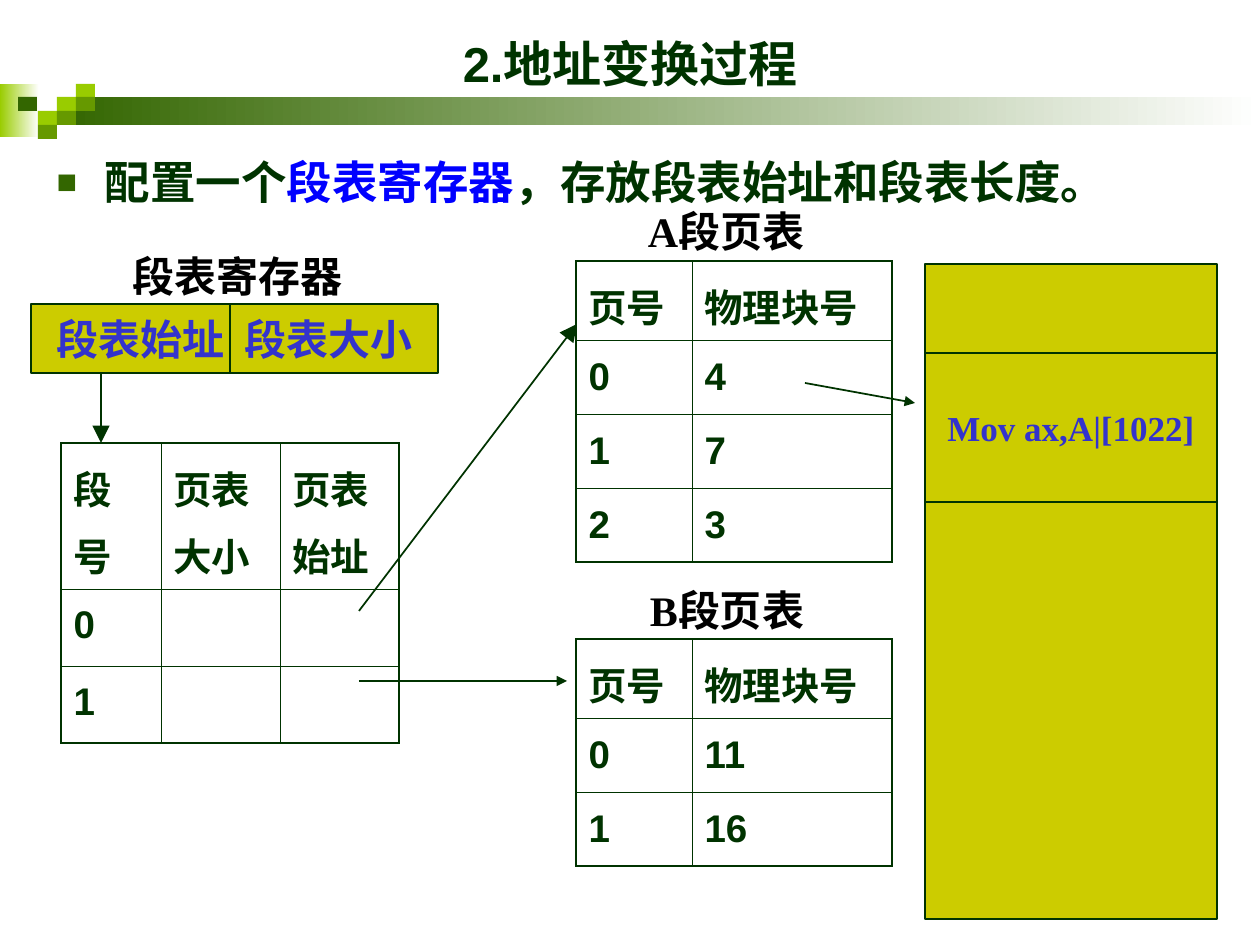
from pptx import Presentation
from pptx.dml.color import RGBColor
from pptx.enum.shapes import MSO_CONNECTOR as Conn, MSO_SHAPE as Kind
from pptx.enum.text import MSO_ANCHOR as Anchor, MSO_AUTO_SIZE as Fit, PP_ALIGN as Align
from pptx.oxml import parse_xml
from pptx.oxml.ns import nsdecls
from pptx.util import Emu, Pt

DARK = RGBColor(0x00, 0x33, 0x00)
PINE = RGBColor(0x33, 0x66, 0x00)
LEAF = RGBColor(0x66, 0x99, 0x00)
LIME = RGBColor(0x99, 0xCC, 0x00)
GOLD = RGBColor(0xCC, 0xCC, 0x00)
BLUE = RGBColor(0x00, 0x00, 0xFF)
INDIGO = RGBColor(0x33, 0x33, 0xCC)
BLACK = RGBColor(0, 0, 0)
WHITE = RGBColor(0xFF, 0xFF, 0xFF)
SANS, SERIF = "Arial", "Times New Roman"

# Content; all lengths in px, 126 to the inch
TITLE = "2.地址变换过程"
POINT = [("配置一个", DARK), ("段表寄存器", BLUE), ("，存放段表始址和段表长度。", DARK)]
FADES = [((0, 84, 39, 53), LIME), ((57, 97, 1203, 28), PINE)]
TILES = [(57, 97, LIME), (76, 84, LIME), (76, 97, LEAF), (38, 111, LIME),
         (18, 97, PINE), (57, 111, LEAF), (38, 125, LEAF)]
PAGES = ["页号", "物理块号"]
TABLES = [  # left, top, column widths, row heights, cells
    (576, 261, [116, 200], [74] * 4, [PAGES, ["0", "4"], ["1", "7"], ["2", "3"]]),
    (576, 639, [116, 200], [74] * 3, [PAGES, ["0", "11"], ["1", "16"]]),
    (61, 443, [100, 119, 119], [123, 77, 77],
     [["段号", "页表大小", "页表始址"], ["0", "", ""], ["1", "", ""]]),
]
BOXES = [  # place, text runs, size
    ((31, 304, 407, 69), ["段表始址", " ", "段表大小"], 24),
    ((925, 264, 292, 655), [], 20),
    ((925, 353, 292, 149), ["Mov ax,A|[1022]"], 20),
]
LABELS = [((108, 244, 260, 63), "段表寄存器"),
          ((616, 199, 220, 63), "A段页表"),
          ((617, 578, 220, 63), "B段页表")]
LINES = [  # start and end, arrowhead size
    ((359, 611, 577, 324), "lg"),
    ((359, 681, 567, 681), "med"),
    ((230, 304, 230, 373), None),
    ((101, 373, 101, 443), "lg"),
    ((805, 383, 915, 403), "med"),
]


def px(n):
    return Emu(round(n * 914400 / 126))


def place(shape, box):
    shape.left, shape.top, shape.width, shape.height = map(px, box)


def style(run, size, name, color):
    font = run.font
    font.size, font.name, font.bold = Pt(size), name, True
    font.color.rgb = color


def write(shape, parts, size, color):
    frame = shape.text_frame
    frame.word_wrap = False
    para = frame.paragraphs[0]
    para.alignment = Align.CENTER
    for text in parts:
        run = para.add_run()
        run.text = text
        style(run, size, SERIF, color)
        if text == " ":  # widen the gap at the divider
            run._r.get_or_add_rPr().set("spc", "600")
    return frame


def block(shapes, box):
    shape = shapes.add_shape(Kind.RECTANGLE, *map(px, box))
    shape.shadow.inherit = False
    return shape


def solid(shape, color):
    shape.fill.solid()
    shape.fill.fore_color.rgb = color


def edge(cell, side, width):
    cell._tc.get_or_add_tcPr().append(parse_xml(
        f'<a:ln{side} {nsdecls("a")} w="{Pt(width)}"><a:solidFill>'
        f'<a:srgbClr val="{DARK}"/></a:solidFill></a:ln{side}>'))


def grid(shapes, left, top, cols, rows, cells):
    box = (left, top, sum(cols), sum(rows))
    table = shapes.add_table(len(rows), len(cols), *map(px, box)).table
    table.first_row = table.horz_banding = False
    for col, width in zip(table.columns, cols):
        col.width = px(width)
    for r, height in enumerate(rows):
        table.rows[r].height = px(height)
        for c, text in enumerate(cells[r]):
            cell = table.cell(r, c)
            outer = {"L": c == 0, "R": c == len(cols) - 1,
                     "T": r == 0, "B": r == len(rows) - 1}
            for side, thick in outer.items():
                edge(cell, side, 1.08 if thick else 0.45)
            cell.fill.background()
            cell.text = text
            para = cell.text_frame.paragraphs[0]
            para.line_spacing = 1.2
            for run in para.runs:
                style(run, 22, SANS, DARK)


def link(shapes, ends, head):
    line = shapes.add_connector(Conn.STRAIGHT, *map(px, ends))
    line.line.color.rgb = DARK
    line.line.width = Pt(1)
    if head:
        line.line._get_or_add_ln().append(parse_xml(
            f'<a:tailEnd {nsdecls("a")} type="triangle" w="{head}" len="{head}"/>'))
    line._element.spPr.append(parse_xml(f'<a:effectLst {nsdecls("a")}/>'))


def main():
    deck = Presentation()
    deck.slide_width, deck.slide_height = px(1260), px(945)
    slide = deck.slides.add_slide(deck.slide_layouts[1])
    shapes = slide.shapes

    # Title
    title = shapes.title
    place(title, (63, 21, 1134, 84))
    title.text_frame.text = TITLE
    title.text_frame.vertical_anchor = Anchor.MIDDLE
    style(title.text_frame.paragraphs[0].runs[0], 28, SANS, DARK)

    # Bullet
    body = slide.placeholders[1]
    place(body, (44, 137, 1101, 665))
    para = body.text_frame.paragraphs[0]
    props = para._p.get_or_add_pPr()
    props.set("marL", str(px(48)))
    props.set("indent", str(px(-48)))
    for mark in (f'<a:buClr {nsdecls("a")}><a:srgbClr val="{PINE}"/></a:buClr>',
                 f'<a:buSzPct {nsdecls("a")} val="75000"/>',
                 f'<a:buChar {nsdecls("a")} char="■"/>'):
        props.append(parse_xml(mark))
    para.line_spacing, para.space_before = 1.2, Pt(0)
    for text, color in POINT:
        run = para.add_run()
        run.text = text
        style(run, 26, SANS, color)

    # Header band and tiles
    for box, color in FADES:
        band = block(shapes, box)
        band.line.fill.background()
        band.fill.gradient()
        band.fill.gradient_angle = 0
        for stop, tint in zip(band.fill.gradient_stops, (color, WHITE)):
            stop.color.rgb = tint
    for x, y, color in TILES:
        tile = block(shapes, (x, y, 19, 14))
        tile.line.fill.background()
        solid(tile, color)

    # Tables
    for table in TABLES:
        grid(shapes, *table)

    # Register and memory
    for box, parts, size in BOXES:
        shape = block(shapes, box)
        solid(shape, GOLD)
        shape.line.color.rgb = DARK
        shape.line.width = Pt(1)
        write(shape, parts, size, INDIGO).vertical_anchor = Anchor.MIDDLE

    # Labels, sized to their text
    for box, text in LABELS:
        label = shapes.add_textbox(*map(px, box))
        write(label, [text], 24, BLACK).auto_size = Fit.SHAPE_TO_FIT_TEXT

    # Divider and arrows
    for ends, head in LINES:
        link(shapes, ends, head)

    deck.save("out.pptx")


if __name__ == "__main__":
    main()
